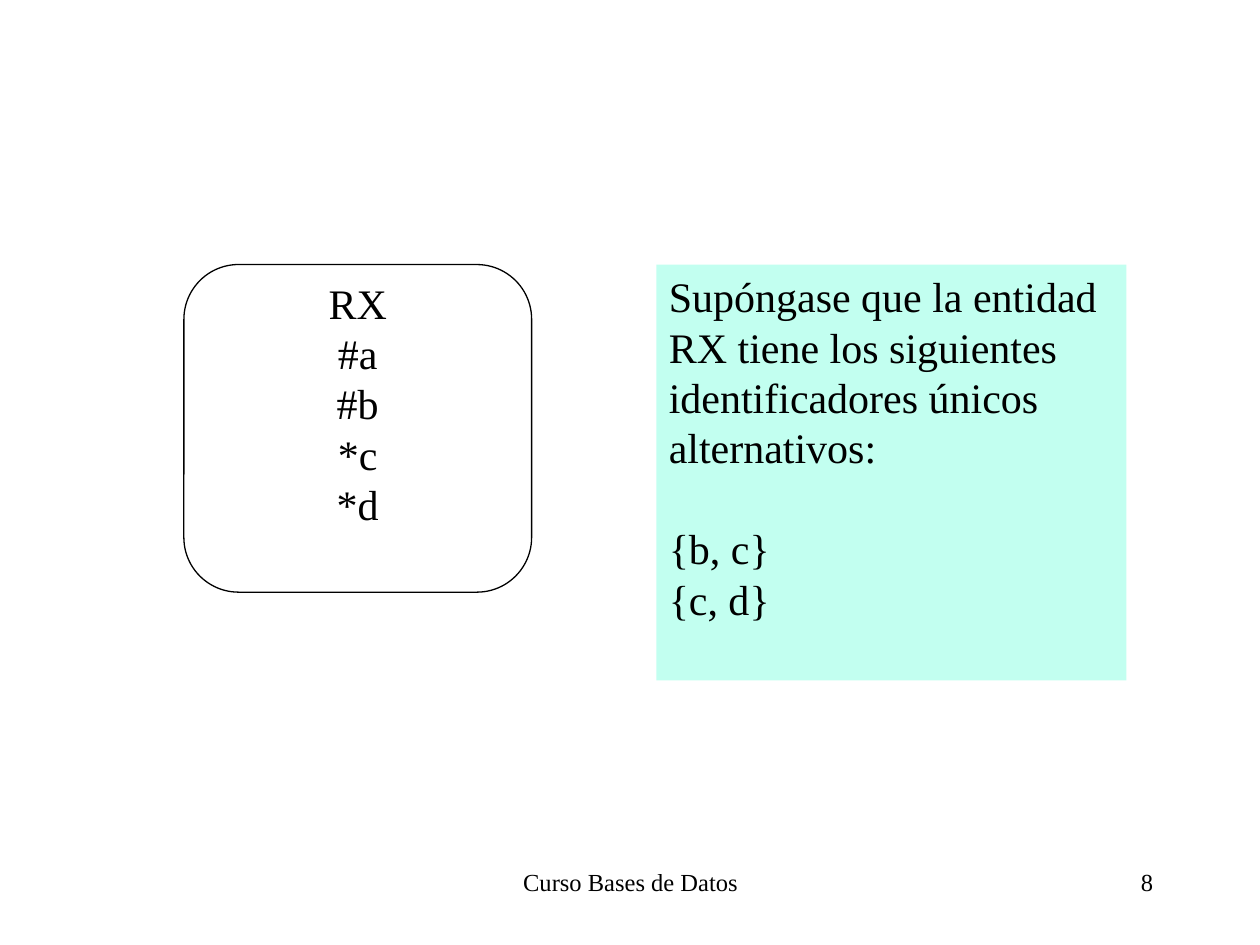
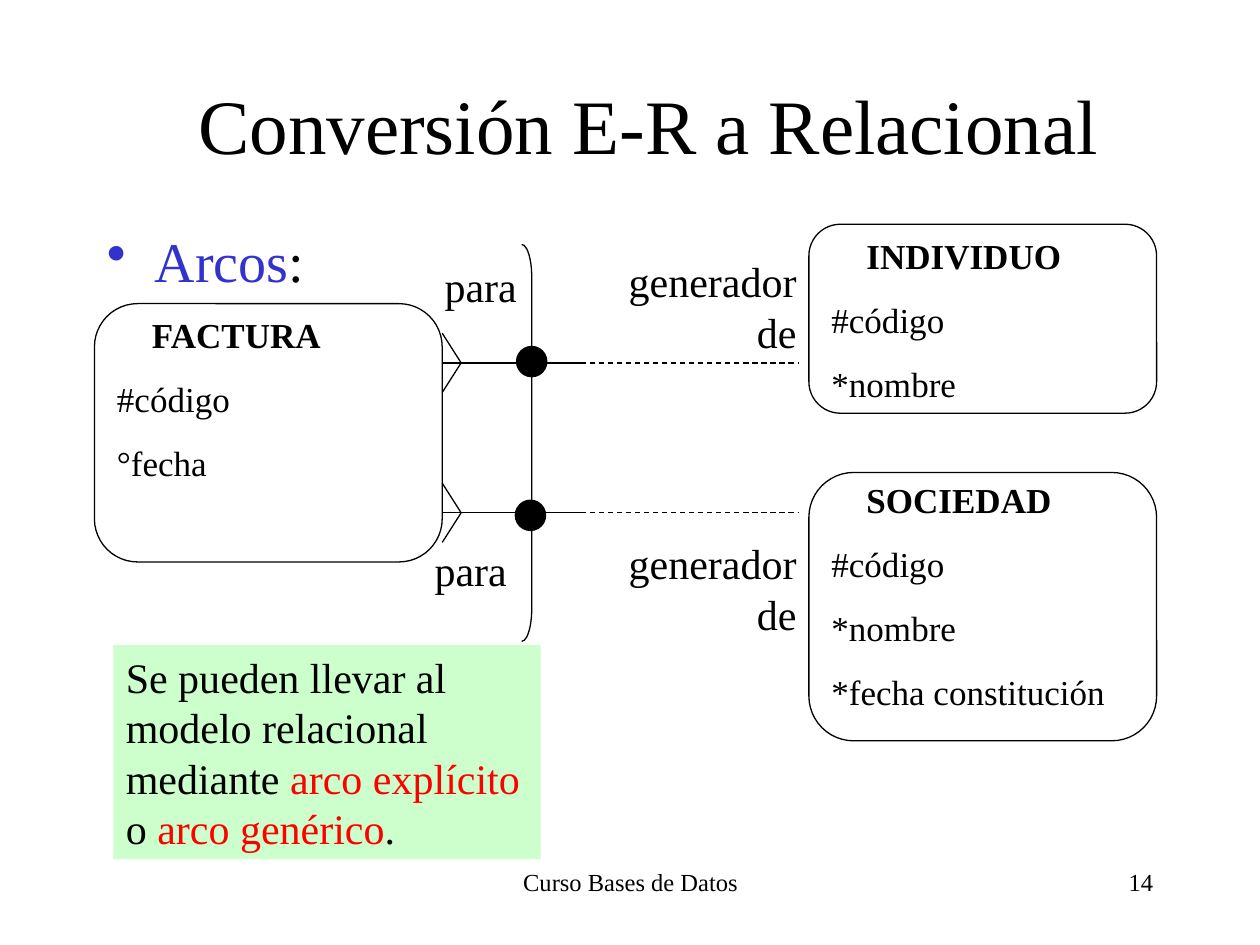
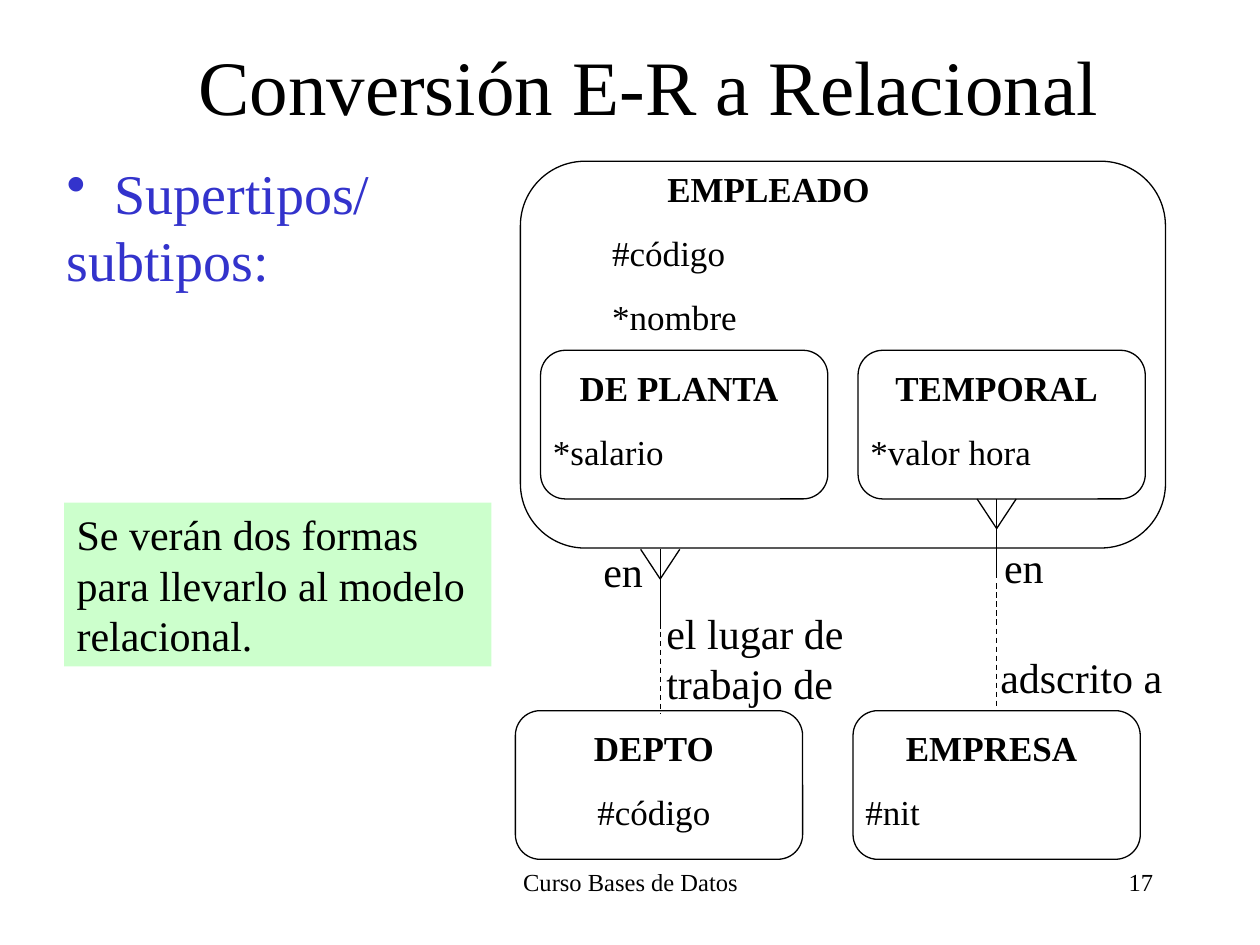
from dataclasses import dataclass
from typing import NamedTuple

import lxml.etree
import pptx
import pptx.dml.color
import pptx.enum.dml
import pptx.enum.shapes
import pptx.enum.text
import pptx.oxml.ns
import pptx.util

ALIGN = pptx.enum.text.PP_ALIGN
ANCHOR = pptx.enum.text.MSO_ANCHOR
FIT = pptx.enum.text.MSO_AUTO_SIZE
SHAPE = pptx.enum.shapes.MSO_SHAPE


@dataclass(frozen=True)
class Theme:
    """Colours, type sizes and grid shared by the slides."""

    font: str = "Times New Roman"
    ink: str = "000000"
    accent: str = "3333CC"
    alert: str = "FF0000"
    mint: str = "C2FFF0"
    green: str = "CCFFCC"
    title: float = 44
    topic: float = 32
    label: float = 24
    attribute: float = 20
    footer: float = 14
    stroke: float = 0.74
    columns: int = 100
    rows: int = 75


THEME = Theme()


class Box(NamedTuple):
    """A region measured in grid columns and rows."""

    left: float
    top: float
    width: float
    height: float

    def inside(self, left, top, width, height):
        """Return a region placed from this one's top left corner."""
        return Box(self.left + left, self.top + top, width, height)


class Run(NamedTuple):
    """A stretch of text in one colour."""

    text: str
    color: str = THEME.ink


deck = pptx.Presentation()
deck.slide_width = pptx.util.Inches(10)
deck.slide_height = pptx.util.Inches(7.5)


def across(columns):
    """Convert grid columns to a length."""
    return round(columns * deck.slide_width / THEME.columns)


def down(rows):
    """Convert grid rows to a length."""
    return round(rows * deck.slide_height / THEME.rows)


def place(box):
    """Convert a region to left, top, width and height."""
    return across(box.left), down(box.top), across(box.width), down(box.height)


def rgb(color):
    """Convert a hex string to a colour."""
    return pptx.dml.color.RGBColor.from_string(color)


def write(paragraph, runs, size, align=ALIGN.LEFT, before=0, bold=False):
    """Fill a paragraph with coloured runs."""
    paragraph.alignment = align
    paragraph.space_before = pptx.util.Pt(before)
    for piece in runs:
        run = paragraph.add_run()
        run.text = piece.text
        run.font.name = THEME.font
        run.font.size = pptx.util.Pt(size)
        run.font.bold = bold
        run.font.color.rgb = rgb(piece.color)


def indent(paragraph, margin, first=0):
    """Set the left margin and first-line indent in columns."""
    properties = paragraph._p.get_or_add_pPr()
    properties.set("marL", str(across(margin)))
    properties.set("indent", str(across(first)))
    return properties


def bullet(properties):
    """Give a paragraph a round accent bullet."""
    qn = pptx.oxml.ns.qn
    tint = lxml.etree.SubElement(properties, qn("a:buClr"))
    lxml.etree.SubElement(tint, qn("a:srgbClr"), val=THEME.accent)
    lxml.etree.SubElement(properties, qn("a:buChar"), char="•")


def text_area(slide, box, fit=FIT.SHAPE_TO_FIT_TEXT):
    """Add a wrapping text box and return its frame."""
    frame = slide.shapes.add_textbox(*place(box)).text_frame
    frame.word_wrap = True
    frame.auto_size = fit
    return frame


def label(slide, box, text, align=ALIGN.LEFT):
    """Write the name of one end of a relationship."""
    write(text_area(slide, box).paragraphs[0], [Run(text)], THEME.label, align, 15)


def outline(slide, box, kind=SHAPE.ROUNDED_RECTANGLE, fill=None, line=THEME.ink):
    """Add a flat preset shape."""
    shape = slide.shapes.add_shape(kind, *place(box))
    shape.shadow.inherit = False
    if fill:
        shape.fill.solid()
        shape.fill.fore_color.rgb = rgb(fill)
    else:
        shape.fill.background()
    if line:
        shape.line.color.rgb = rgb(line)
        shape.line.width = pptx.util.Pt(THEME.stroke)
    else:
        shape.line.fill.background()
    return shape


def note(slide, box, paragraphs, fill, before=0, gaps=()):
    """Add a coloured note; gaps maps paragraph numbers to space before."""
    frame = outline(slide, box, SHAPE.RECTANGLE, fill, None).text_frame
    frame.word_wrap = True
    frame.vertical_anchor = ANCHOR.TOP
    spaces = dict(gaps)
    for number, runs in enumerate(paragraphs):
        paragraph = frame.add_paragraph() if number else frame.paragraphs[0]
        write(paragraph, runs, THEME.label, before=spaces.get(number, before))


def entity(slide, box, text_box, name, attributes, name_align=ALIGN.CENTER,
           name_indent=0, align=ALIGN.LEFT):
    """Draw an entity with a bold name above its attributes."""
    outline(slide, box).adjustments[0] = 0.167
    frame = text_area(slide, box.inside(*text_box))
    heading = frame.paragraphs[0]
    write(heading, [Run(name)], THEME.attribute, name_align, 12.5, True)
    indent(heading, name_indent)
    for attribute in attributes:
        write(frame.add_paragraph(), [Run(attribute)], THEME.attribute, align, 12.5)


def stroke(slide, start, end, dashed=False):
    """Draw a thin straight line between two grid points."""
    line = slide.shapes.add_connector(
        pptx.enum.shapes.MSO_CONNECTOR.STRAIGHT,
        across(start[0]), down(start[1]), across(end[0]), down(end[1]))
    line.line.color.rgb = rgb(THEME.ink)
    line.line.width = pptx.util.Pt(THEME.stroke)
    if dashed:
        line.line.dash_style = pptx.enum.dml.MSO_LINE.DASH
    lxml.etree.SubElement(line._element.spPr, pptx.oxml.ns.qn("a:effectLst"))


def relationship(slide, origin, solid, dash_start, dash_end, foot, vertical=False):
    """Draw a crow's foot, its solid half and its dashed half."""
    def point(along, aside=0):
        """Return the grid point at a distance along and beside the line."""
        step = (aside, along) if vertical else (along, aside)
        return origin[0] + step[0], origin[1] + step[1]

    depth, spread = foot
    for side in (-spread, spread):
        stroke(slide, point(0, side), point(depth))
    stroke(slide, point(0), point(solid))
    stroke(slide, point(dash_start), point(dash_end), True)


def exclusive_arc(slide, box, crossings):
    """Draw the arc and a dot at each relationship it crosses."""
    outline(slide, box, SHAPE.RIGHT_BRACKET).adjustments[0] = 3.25
    for left, top in crossings:
        outline(slide, box.inside(left, top, 2.4, 2.4), SHAPE.OVAL, THEME.ink)


def topic(slide, box, lines, spacing=1.0):
    """Write the bulleted topic, with further lines hanging under it."""
    frame = text_area(slide, box, FIT.NONE)
    for number, runs in enumerate(lines):
        paragraph = frame.add_paragraph() if number else frame.paragraphs[0]
        write(paragraph, runs, THEME.topic, before=8)
        paragraph.line_spacing = spacing
        properties = indent(paragraph, 3.8, -3.8)
        if number == 0:
            bullet(properties)


def new_slide(number, title_top=None):
    """Add a slide with its footer and, where it has one, its title."""
    slide = deck.slides.add_slide(deck.slide_layouts[6 if title_top is None else 5])
    for box, text, align in (
        (Box(34.2, 68.3, 31.7, 5), "Curso Bases de Datos", ALIGN.CENTER),
        (Box(71.7, 68.3, 20.8, 5), str(number), ALIGN.RIGHT),
    ):
        write(text_area(slide, box, FIT.NONE).paragraphs[0], [Run(text)],
              THEME.footer, align)
    if title_top is not None:
        heading = slide.shapes.title
        heading.left, heading.top, heading.width, heading.height = place(
            Box(9, title_top, 85, 12.5))
        frame = heading.text_frame
        frame.auto_size = FIT.NONE
        frame.vertical_anchor = ANCHOR.MIDDLE
        write(frame.paragraphs[0], [Run("Conversión E-R a Relacional")],
              THEME.title, ALIGN.CENTER)
    return slide


def identifiers_slide():
    """Build the slide on alternative unique identifiers."""
    slide = new_slide(8)
    relation = outline(slide, Box(14.6, 21, 27.6, 26))
    relation.adjustments[0] = 0.167
    frame = relation.text_frame
    frame.word_wrap = False
    frame.vertical_anchor = ANCHOR.MIDDLE
    frame.margin_bottom = down(4.5)
    for number, text in enumerate(("RX", "#a", "#b", "*c", "*d")):
        paragraph = frame.add_paragraph() if number else frame.paragraphs[0]
        write(paragraph, [Run(text)], THEME.label, ALIGN.CENTER)
    note(slide, Box(52.1, 21, 37.3, 33), [
        [Run("Supóngase que la entidad RX tiene los siguientes "
             "identificadores únicos alternativos:")],
        [Run("{b, c}")],
        [Run("{c, d}")],
    ], THEME.mint, gaps={1: 28.8})


def arcs_slide():
    """Build the slide on exclusive arcs."""
    slide = new_slide(14, 3.6)
    topic(slide, Box(7.5, 17.5, 85, 13.3), [[Run("Arcos", THEME.accent), Run(":")]])
    for box, text_top, text_height, name, attributes in (
        (Box(7.5, 24.1, 27.6, 20.5), 0.3, 14.5, "FACTURA", ("#código", "°fecha")),
        (Box(64.2, 17.8, 27.6, 15), 0.3, 14.5, "INDIVIDUO", ("#código", "*nombre")),
        (Box(64.2, 37.5, 27.6, 21.3), 0, 19.6, "SOCIEDAD",
         ("#código", "*nombre", "*fecha constitución")),
    ):
        entity(slide, box, (0.8, text_top, 26.8, text_height), name, attributes,
               ALIGN.LEFT, 2.78)
    for row in (28.8, 40.7):
        relationship(slide, (35.1, row), 11, 11, 28.3, (1.5, 2.35))
    for left, top in ((34.3, 20.2), (33.5, 42.7)):
        label(slide, Box(left, top, 10.2, 5), "para")
    for top in (19.8, 42.2):
        label(slide, Box(46.1, top, 18.1, 9), "generador de", ALIGN.RIGHT)
    exclusive_arc(slide, Box(41.4, 19.4, 0.8, 31.5), ((-0.4, 8.1), (-0.5, 20.3)))
    note(slide, Box(9, 51.2, 33.9, 17), [[
        Run("Se pueden llevar al modelo relacional mediante "),
        Run("arco explícito", THEME.alert),
        Run(" o "),
        Run("arco genérico", THEME.alert),
        Run("."),
    ]], THEME.green, before=15)


def subtypes_slide():
    """Build the slide on supertypes and subtypes."""
    slide = new_slide(17, 0.5)
    entity(slide, Box(41.3, 12.8, 51.2, 30.7), (6.3, 0, 26.8, 19.6),
           "EMPLEADO", ("#código", "*nombre"))
    for left, top, name, attribute, align in (
        (42.9, 27.8, "DE PLANTA", "*salario", ALIGN.LEFT),
        (68.1, 27.8, "TEMPORAL", "*valor hora", ALIGN.LEFT),
        (67.7, 56.4, "EMPRESA", "#nit", ALIGN.LEFT),
        (40.9, 56.4, "DEPTO", "#código", ALIGN.CENTER),
    ):
        entity(slide, Box(left, top, 22.8, 11.8), (0, 0.8, 22, 9.4),
               name, (attribute,), align=align)
    for origin, dash_start, dash_end in (
        ((52.4, 43.6), 5.1, 13),
        ((79.1, 39.6), 6.7, 16.6),
    ):
        relationship(slide, origin, 6.3, dash_start, dash_end, (2.35, 1.55), True)
    for box, text in (
        (Box(46.9, 42.8, 9.5, 5), "en"),
        (Box(51.9, 47.7, 18.9, 9), "el lugar de trabajo de"),
        (Box(78.4, 51.2, 18.9, 5), "adscrito a"),
        (Box(78.7, 42.5, 9.5, 5), "en"),
    ):
        label(slide, box, text)
    note(slide, Box(5.1, 39.9, 33.9, 13), [
        [Run("Se verán dos formas para llevarlo al modelo relacional.")],
    ], THEME.green)
    topic(slide, Box(4.3, 13.1, 35.4, 11), [
        [Run("Supertipos/", THEME.accent)],
        [Run("subtipos:", THEME.accent)],
    ], 0.8)


identifiers_slide()
arcs_slide()
subtypes_slide()
deck.save("out.pptx")
